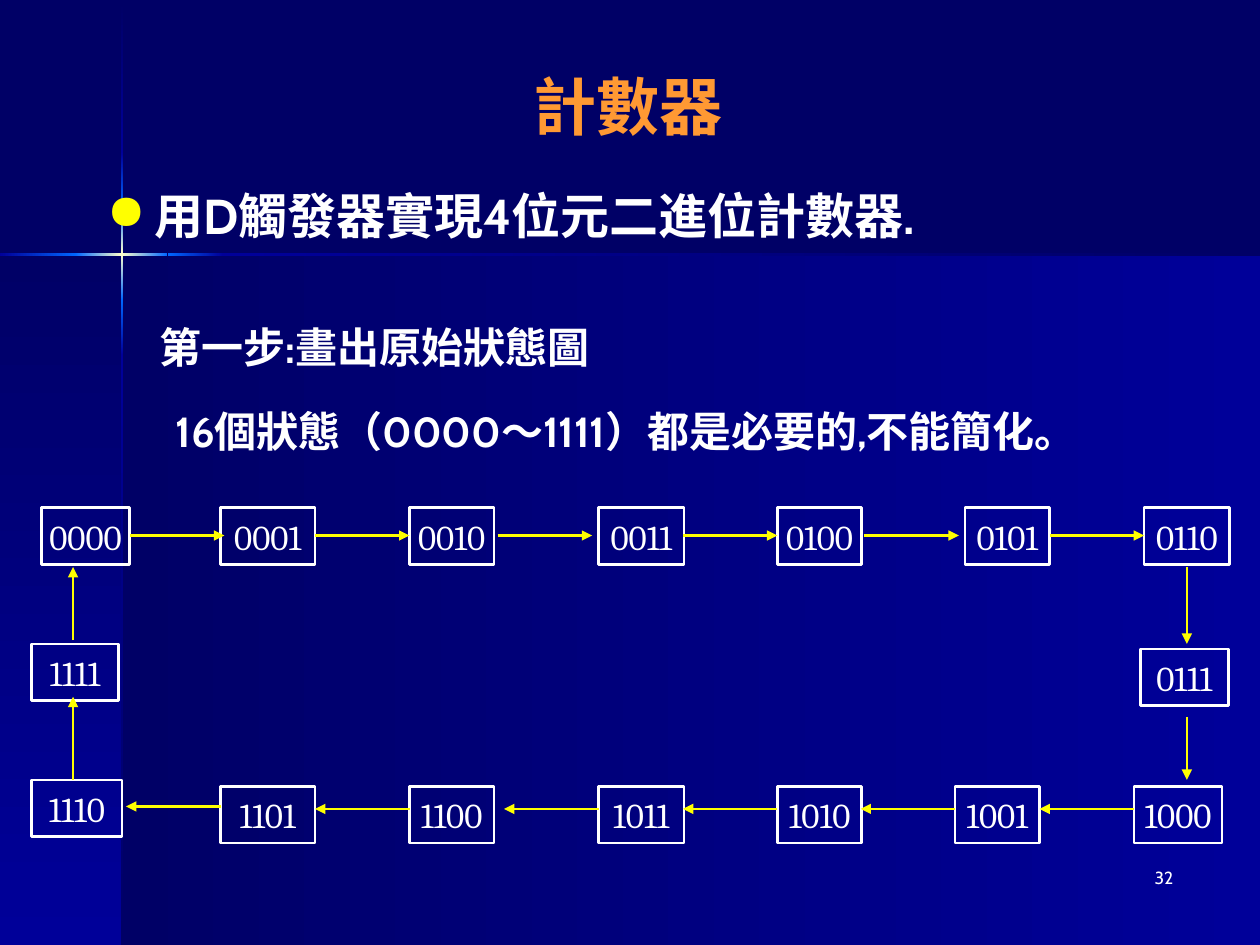
from pptx import Presentation
from pptx.dml.color import RGBColor
from pptx.enum.shapes import MSO_CONNECTOR, MSO_SHAPE
from pptx.enum.text import MSO_ANCHOR as Anchor, PP_ALIGN as Align
from pptx.oxml import parse_xml
from pptx.oxml.ns import nsdecls
from pptx.util import Emu, Pt

EMU_PER_PX = 9144  # 100 px to the inch
WIDTH, HEIGHT = 1000, 750
TITLE_ONLY = 5

NAVY = RGBColor(0x00, 0x00, 0x66)
BLUE = RGBColor(0x00, 0x00, 0x99)
GLOW = RGBColor(0x00, 0x66, 0xFF)
CREAM = RGBColor(0xFF, 0xFF, 0xCC)
ORANGE = RGBColor(0xFF, 0x99, 0x33)
WHITE = RGBColor(0xFF, 0xFF, 0xFF)
YELLOW = RGBColor(0xFF, 0xFF, 0x00)

TITLE = dict(name="Cabin", size=Pt(36), bold=True, color=ORANGE)
BULLET = dict(name="Cabin", size=Pt(28), bold=True, color=WHITE)
STEP = dict(name="Cabin", size=Pt(24), bold=True, color=WHITE)
NUMBER = dict(name="Cabin", size=Pt(10), bold=False, color=WHITE)
STATE = dict(name="Cambria", size=Pt(20), bold=False, color=WHITE)

STATE_HEIGHT, ARROW_LENGTH = 45, 75
UPPER_TOP, LOWER_TOP = 403, 624
UPPER_ARROW_Y, LOWER_ARROW_Y = 425, 642

# (left, top, width) in counting order, clockwise from the top left
STATES = (
    [(left, UPPER_TOP, width) for left, width in
     [(33, 70), (175, 75), (325, 67), (475, 68), (617, 67), (766, 67), (908, 68)]]
    + [(905, 515, 70)]
    + [(left, LOWER_TOP, width) for left, width in
       [(900, 70), (758, 67), (617, 67), (475, 68), (325, 67), (175, 75)]]
    + [(25, 619, 72), (25, 511, 69)]
)

# (from x, from y, to x, to y)
ARROWS = (
    [(x, UPPER_ARROW_Y, x + ARROW_LENGTH, UPPER_ARROW_Y)
     for x in (103, 250, 395, 542, 686, 833)]
    + [(942, 450, 942, 511), (942, 569, 942, 619)]
    + [(x, LOWER_ARROW_Y, x - ARROW_LENGTH, LOWER_ARROW_Y)
       for x in (900, 758, 617, 475, 325)]
    + [(175, 640, 100, 640), (58, 619, 58, 553), (58, 508, 58, 450)]
)

# (left, top, width, height, colours, angle)
PANELS = [
    (97, 202, 903, 548, (NAVY, BLUE), 0),
    (0, 202, 97, 548, (NAVY, BLUE), 90),
    (96, 1, 2, 120, (NAVY, BLUE), 90),
    (96, 282, 2, 468, (BLUE, NAVY), 90),
    (177, 201, 823, 2, (BLUE, NAVY), 0),
    (96, 238, 2, 44, (GLOW, BLUE), 90),
    (96, 121, 2, 44, (BLUE, GLOW), 90),
    (96, 165, 2, 73, (GLOW, CREAM, GLOW), 90),
    (0, 201, 61, 2, (BLUE, GLOW), 0),
    (133, 201, 44, 2, (GLOW, BLUE), 0),
    (60, 201, 73, 2, (GLOW, CREAM, GLOW), 0),
]


def px(*lengths):
    return [Emu(length * EMU_PER_PX) for length in lengths]


class SlideBuilder:
    def __init__(self, slide):
        self.slide = slide
        self.shapes = slide.shapes
        self.line_width = Pt(1.5)

    def background(self, color):
        fill = self.slide.background.fill
        fill.solid()
        fill.fore_color.rgb = color

    def put_text(self, shape, text, style, align, anchor=Anchor.TOP, wrap=True):
        frame = shape.text_frame
        frame.word_wrap = wrap
        frame.vertical_anchor = anchor
        paragraph = frame.paragraphs[0]
        paragraph.alignment = align
        run = paragraph.add_run()
        run.text = text
        for key, value in style.items():
            if key == "color":
                run.font.color.rgb = value
            else:
                setattr(run.font, key, value)
        return paragraph

    def title(self, text, *box):
        title = self.shapes.title
        title.left, title.top, title.width, title.height = px(*box)
        self.put_text(title, text, TITLE, Align.CENTER, Anchor.MIDDLE)

    def text(self, text, style, *box, align=Align.LEFT, wrap=True):
        shape = self.shapes.add_textbox(*px(*box))
        return self.put_text(shape, text, style, align, wrap=wrap)

    def bullet(self, text, *box):
        properties = self.text(text, BULLET, *box)._p.get_or_add_pPr()
        indent, = px(38)
        properties.set("marL", str(indent))
        properties.set("indent", str(-indent))
        properties.append(parse_xml(
            f'<a:buClr {nsdecls("a")}><a:srgbClr val="{YELLOW}"/></a:buClr>'))
        properties.append(parse_xml(f'<a:buChar {nsdecls("a")} char="●"/>'))

    def rectangle(self, *box):
        shape = self.shapes.add_shape(MSO_SHAPE.RECTANGLE, *px(*box))
        shape.shadow.inherit = False
        shape.fill.background()
        return shape

    def panel(self, left, top, width, height, colors, angle):
        """Add a rectangle whose colours blend evenly along the angle."""
        shape = self.rectangle(left, top, width, height)
        shape.line.fill.background()
        stops = "".join(
            f'<a:gs pos="{100000 * index // (len(colors) - 1)}">'
            f'<a:srgbClr val="{color}"/></a:gs>'
            for index, color in enumerate(colors))
        properties = shape._element.spPr
        gradient = parse_xml(
            f'<a:gradFill {nsdecls("a")} rotWithShape="1"><a:gsLst>{stops}</a:gsLst>'
            f'<a:lin ang="{angle * 60000}" scaled="1"/></a:gradFill>')
        properties.replace(properties.eg_fillProperties, gradient)

    def state(self, text, left, top, width):
        shape = self.rectangle(left, top, width, STATE_HEIGHT)
        shape.line.color.rgb = WHITE
        shape.line.width = self.line_width
        frame = shape.text_frame
        frame.margin_left = frame.margin_right = 0
        self.put_text(shape, text, STATE, Align.CENTER, Anchor.MIDDLE, wrap=False)

    def arrow(self, *ends):
        connector = self.shapes.add_connector(MSO_CONNECTOR.STRAIGHT, *px(*ends))
        connector.line.color.rgb = YELLOW
        connector.line.width = self.line_width
        connector.line._get_or_add_ln().append(
            parse_xml(f'<a:tailEnd {nsdecls("a")} type="triangle"/>'))
        connector._element.spPr.append(parse_xml(f'<a:effectLst {nsdecls("a")}/>'))


def main():
    presentation = Presentation()
    presentation.slide_width, presentation.slide_height = px(WIDTH, HEIGHT)
    slide = presentation.slides.add_slide(presentation.slide_layouts[TITLE_ONLY])
    builder = SlideBuilder(slide)

    builder.background(NAVY)
    for panel in PANELS:
        builder.panel(*panel)

    builder.title("計數器 ", 74, 50, 860, 67)
    builder.bullet("用D觸發器實現4位元二進位計數器.", 75, 142, 875, 556)
    builder.text("第一步:畫出原始狀態圖", STEP, 117, 250, 517, 50)
    builder.text("16個狀態（0000～1111）都是必要的,不能簡化。", STEP,
                 108, 317, 778, 50, align=Align.CENTER, wrap=False)

    for number, place in enumerate(STATES):
        builder.state(f"{number:04b}", *place)
    for ends in ARROWS:
        builder.arrow(*ends)

    builder.text("32", NUMBER, 733, 683, 208, 50, align=Align.RIGHT)
    presentation.save("out.pptx")


if __name__ == "__main__":
    main()
